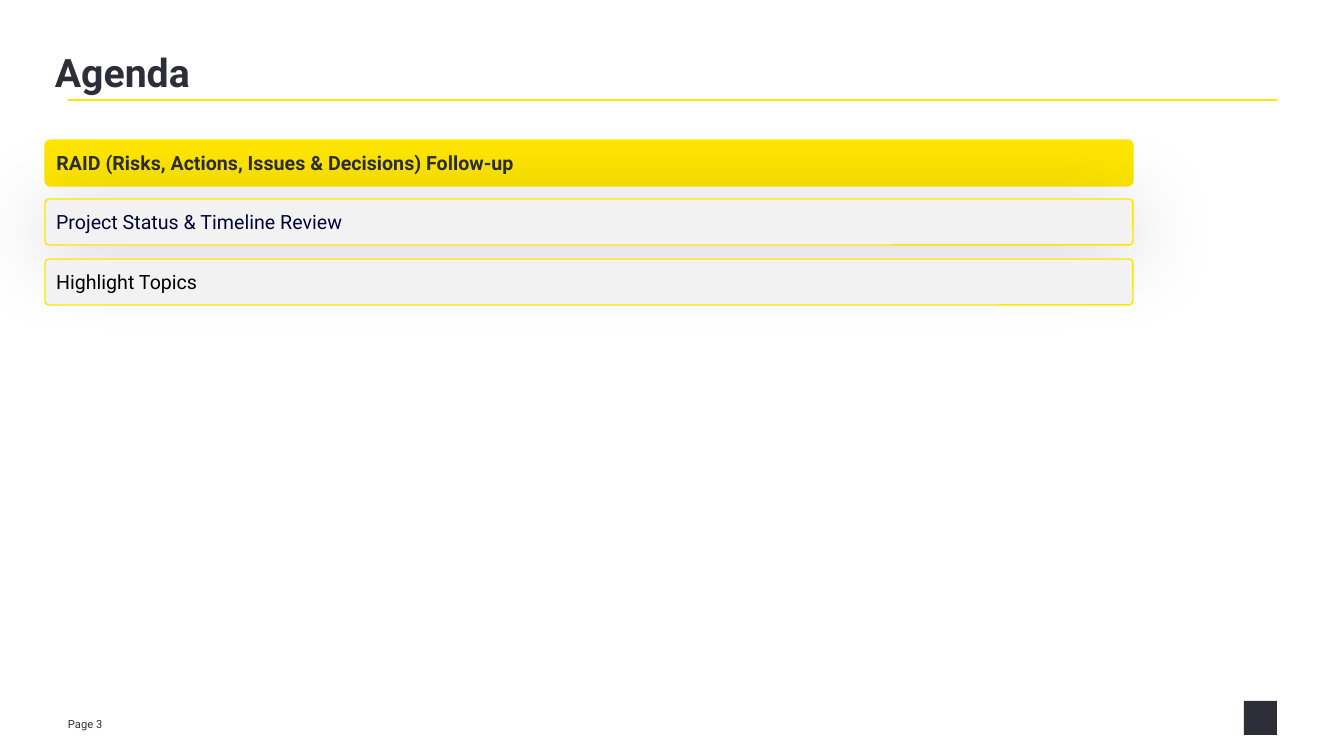
from lxml.etree import SubElement
from pptx import Presentation
from pptx.dml.color import RGBColor
from pptx.enum.shapes import MSO_CONNECTOR, MSO_SHAPE
from pptx.enum.text import MSO_ANCHOR, PP_ALIGN
from pptx.oxml.ns import qn
from pptx.util import Emu, Pt

YELLOW = RGBColor(0xFF, 0xE6, 0x00)
CHARCOAL = RGBColor(0x2E, 0x2E, 0x38)
NAVY = RGBColor(0x03, 0x04, 0x36)
BLACK = RGBColor(0x00, 0x00, 0x00)
PALE_GREY = RGBColor(0xF2, 0xF2, 0xF2)

EMU_PER_PX = 914400 / 100.8


def px(*lengths):
    return [Emu(round(length * EMU_PER_PX)) for length in lengths]


class AgendaSlide:
    font = "Roboto"

    def __init__(self, presentation):
        self.shapes = presentation.slides.add_slide(presentation.slide_layouts[6]).shapes

    def set_text(self, frame, words, size, color, bold=False):
        frame.word_wrap = True
        frame.text = words
        paragraph = frame.paragraphs[0]
        paragraph.alignment = PP_ALIGN.LEFT
        font = paragraph.runs[0].font
        font.name, font.size, font.bold = self.font, Pt(size), bold
        font.color.rgb = color

    def text(self, box, words, size, color, bold=False):
        frame = self.shapes.add_textbox(*px(*box)).text_frame
        self.set_text(frame, words, size, color, bold)
        return frame

    def rule(self, start, end, color, width):
        line = self.shapes.add_connector(MSO_CONNECTOR.STRAIGHT, *px(*start, *end))
        line.line.color.rgb = color
        line.line.width = Pt(width)
        SubElement(line._element.spPr, qn("a:effectLst"))

    def block(self, kind, box, fill):
        shape = self.shapes.add_shape(kind, *px(*box))
        shape.fill.solid()
        shape.fill.fore_color.rgb = fill
        shape.line.fill.background()
        shape.shadow.inherit = False
        return shape

    def topic(self, box, words, fill, color, bold, rounding):
        bar = self.block(MSO_SHAPE.ROUNDED_RECTANGLE, box, fill)
        bar.adjustments[0] = rounding
        bar.line.color.rgb = YELLOW
        bar.line.width = Pt(1)
        bar.text_frame.vertical_anchor = MSO_ANCHOR.MIDDLE
        self.set_text(bar.text_frame, words, 14, color, bold)
        return bar

    def soft_shadow(self, shape, color, opacity, blur, distance):
        effects = shape._element.spPr.find(qn("a:effectLst"))
        shadow = SubElement(effects, qn("a:outerShdw"), blurRad=str(Pt(blur)),
                            dist=str(Pt(distance)), dir="5400000", algn="t",
                            rotWithShape="0")
        tint = SubElement(shadow, qn("a:srgbClr"), val=str(color))
        SubElement(tint, qn("a:alpha"), val=str(opacity * 1000))


def main():
    presentation = Presentation()
    presentation.slide_width, presentation.slide_height = px(1344, 756)
    slide = AgendaSlide(presentation)

    # Brand mark placeholder and header rule
    slide.block(MSO_SHAPE.RECTANGLE, (1244, 701, 33, 34), CHARCOAL)
    slide.rule((68, 100), (1277, 100), YELLOW, 1.5)

    # Page number
    page = slide.text((68, 714, 73, 20), "Page 3", 8, CHARCOAL)
    page.vertical_anchor = MSO_ANCHOR.MIDDLE
    page.margin_left = page.margin_right = page.margin_top = page.margin_bottom = 0

    # Title
    title = slide.text((45, 43, 1250, 43), "Agenda", 28, CHARCOAL, bold=True)
    title.paragraphs[0].space_after = Pt(6)

    # Agenda topics, the current one highlighted
    topics = [
        ("RAID (Risks, Actions, Issues & Decisions) Follow-up", YELLOW, CHARCOAL, True, 0.12),
        ("Project Status & Timeline Review", PALE_GREY, NAVY, False, 0.09),
        ("Highlight Topics", PALE_GREY, BLACK, False, 0.09),
    ]
    for row, (words, *style) in enumerate(topics):
        bar = slide.topic((45, 140 + row * 119 // 2, 1088, 46), words, *style)
        if row == 1:
            slide.soft_shadow(bar, NAVY, opacity=20, blur=60, distance=6)

    presentation.save("out.pptx")


if __name__ == "__main__":
    main()
